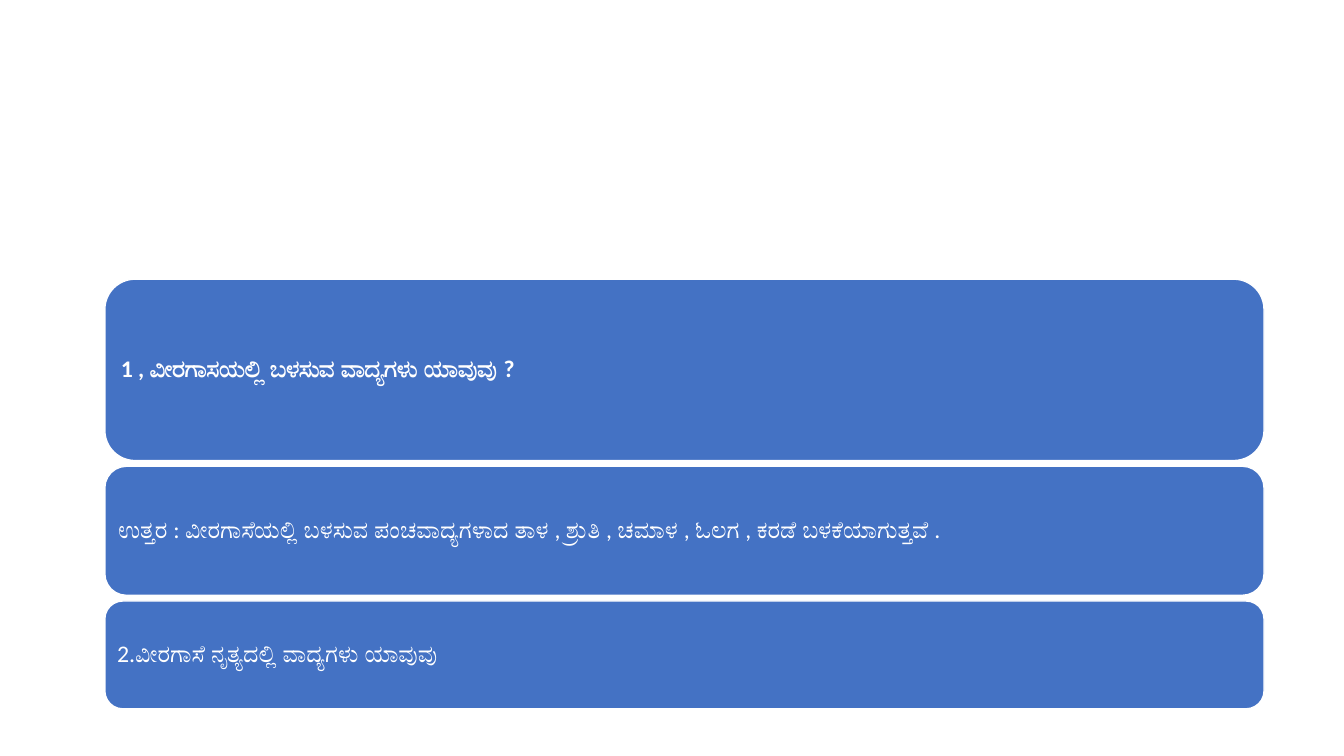
from pptx import Presentation
from pptx import util as u
from pptx.dml.color import RGBColor
from pptx.enum import shapes, text

THEME = {
    "fill": RGBColor.from_string("4472C4"),
    "light": RGBColor.from_string("FFFFFF"),
    "font": "Calibri",
    "size": u.Pt(17),
    "edge": u.Pt(1),
}

deck = Presentation()
deck.slide_width, deck.slide_height = u.Inches(13.33), u.Inches(7.5)
slide = deck.slides.add_slide(deck.slide_layouts[6])

# One percent of the slide's width and height
col, row = deck.slide_width / 100, deck.slide_height / 100


def write(frame, words, bold=False, inset=u.Inches(0.07)):
    frame.word_wrap = True
    frame.vertical_anchor = text.MSO_ANCHOR.MIDDLE
    frame.margin_left = frame.margin_right = inset
    frame.margin_top = frame.margin_bottom = inset
    para = frame.paragraphs[0]
    para.alignment = text.PP_ALIGN.LEFT
    para.line_spacing = 0.9
    run = para.add_run()
    run.text = words
    run.font.name = THEME["font"]
    run.font.size = THEME["size"]
    run.font.bold = bold
    run.font.color.rgb = THEME["light"]


# Words, height in rows, bold
cards = [
    ("1 , ವೀರಗಾಸಯಲ್ಲಿ ಬಳಸುವ ವಾದ್ಯಗಳು ಯಾವುವು ?", 24, True),
    ("ಉತ್ತರ : ವೀರಗಾಸೆಯಲ್ಲಿ ಬಳಸುವ ಪಂಚವಾದ್ಯಗಳಾದ ತಾಳ , ಶ್ರುತಿ , ಚಮಾಳ , ಓಲಗ , "
     "ಕರಡೆ ಬಳಕೆಯಾಗುತ್ತವೆ .", 17.07, False),
    ("2.ವೀರಗಾಸೆ ನೃತ್ಯದಲ್ಲಿ ವಾದ್ಯಗಳು ಯಾವುವು", 14.27, False),
]
left, width, top, gap = 7.8, 86.25, 36.93, 0.75

for words, height, bold in cards:
    card = slide.shapes.add_shape(
        shapes.MSO_SHAPE.ROUNDED_RECTANGLE,
        int(left * col), int(top * row), int(width * col), int(height * row))
    card.shadow.inherit = False
    card.fill.solid()
    card.fill.fore_color.rgb = THEME["fill"]
    card.line.color.rgb = THEME["light"]
    card.line.width = THEME["edge"]
    write(card.text_frame, words, bold=bold)
    top += height + gap

deck.save("out.pptx")
